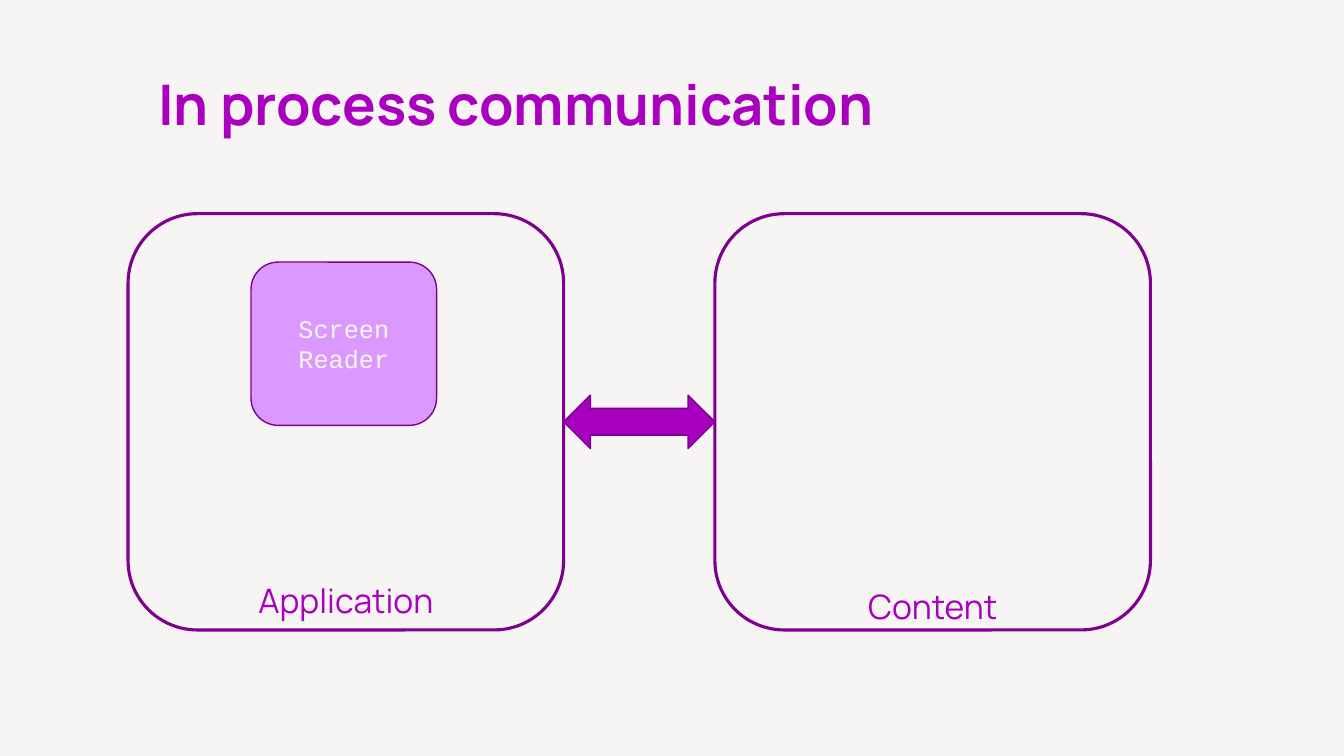
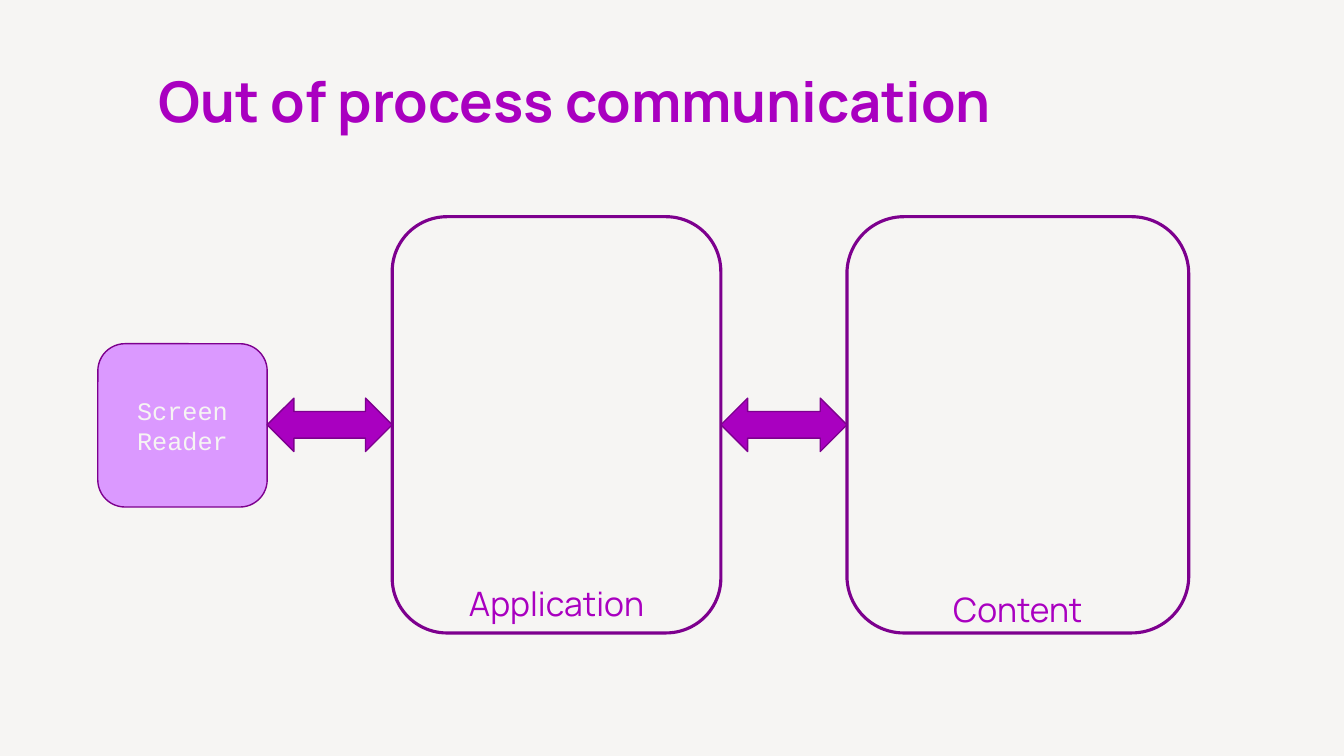
import pptx
import pptx.util
import pptx.dml.color
import pptx.enum.shapes
import pptx.enum.text

PX = 9144
COLORS = {"paper": "F6F5F3", "purple": "A900C0", "edge": "7D008E", "lilac": "DB99FF"}
SHAPES = pptx.enum.shapes.MSO_SHAPE
ALIGN = pptx.enum.text.PP_ALIGN
ANCHOR = pptx.enum.text.MSO_ANCHOR
FRAME_H, READER_H, ARROW_H, LABEL_H = 413, 162, 53, 46

SLIDES = [
    {"title": "In process communication", "title_top": 77, "frame_top": 212,
     "application": (127, 432), "content": (709, 432),
     "reader": (249, 260, 184), "arrows": [("application", "content")]},
    {"title": "Out of process communication", "title_top": 74, "frame_top": 215,
     "application": (389, 326), "content": (840, 339),
     "reader": (97, 341, 168),
     "arrows": [("application", "content"), ("reader", "application")]},
]


def add_box(slide, kind, box, fill, weight):
    sp = slide.shapes.add_shape(kind, *[v * PX for v in box])
    sp.shadow.inherit = False
    sp.fill.solid()
    sp.fill.fore_color.rgb = pptx.dml.color.RGBColor.from_string(COLORS[fill])
    sp.line.color.rgb = pptx.dml.color.RGBColor.from_string(COLORS["edge"])
    sp.line.width = pptx.util.Pt(weight)
    return sp


def set_text(sp, text, font, size, color, align, anchor, inset=0, bold=False):
    tf = sp.text_frame
    tf.word_wrap = True
    tf.vertical_anchor = anchor
    tf.margin_left = tf.margin_right = inset * PX
    tf.margin_top = tf.margin_bottom = inset * PX // 2
    p = tf.paragraphs[0]
    p.text = text
    p.alignment = align
    r = p.runs[0]
    r.font.name = font
    r.font.size = pptx.util.Pt(size)
    r.font.bold = bold
    r.font.color.rgb = pptx.dml.color.RGBColor.from_string(COLORS[color])
    return p


prs = pptx.Presentation()
prs.slide_width = 1333 * PX
prs.slide_height = 750 * PX

for item in SLIDES:
    slide = prs.slides.add_slide(prs.slide_layouts[6])
    slide.background.fill.solid()
    slide.background.fill.fore_color.rgb = pptx.dml.color.RGBColor.from_string(COLORS["paper"])

    title = slide.shapes.add_textbox(157 * PX, item["title_top"] * PX, 941 * PX, 110 * PX)
    p = set_text(title, item["title"], "Manrope", 40, "purple", ALIGN.LEFT, ANCHOR.TOP, bold=True)
    p.line_spacing = 0.9

    top = item["frame_top"]
    for name, gap in (("content", 4), ("application", 10)):
        left, width = item[name]
        add_box(slide, SHAPES.ROUNDED_RECTANGLE, (left, top, width, FRAME_H), "paper", 2.25)
        label_top = top + FRAME_H - gap - LABEL_H
        label = slide.shapes.add_textbox(left * PX, label_top * PX, width * PX, LABEL_H * PX)
        set_text(label, name.capitalize(), "Manrope", 24, "purple", ALIGN.CENTER, ANCHOR.BOTTOM)

    left, reader_top, width = item["reader"]
    reader = add_box(slide, SHAPES.ROUNDED_RECTANGLE, (left, reader_top, width, READER_H), "lilac", 1)
    set_text(reader, "Screen Reader", "Courier New", 18, "paper", ALIGN.CENTER, ANCHOR.MIDDLE, inset=10)

    arrow_top = top + (FRAME_H - ARROW_H) // 2
    for source, target in item["arrows"]:
        start = item[source][0] + item[source][-1]
        end = item[target][0]
        add_box(slide, SHAPES.LEFT_RIGHT_ARROW, (start, arrow_top, end - start, ARROW_H), "purple", 1)

prs.save("out.pptx")
